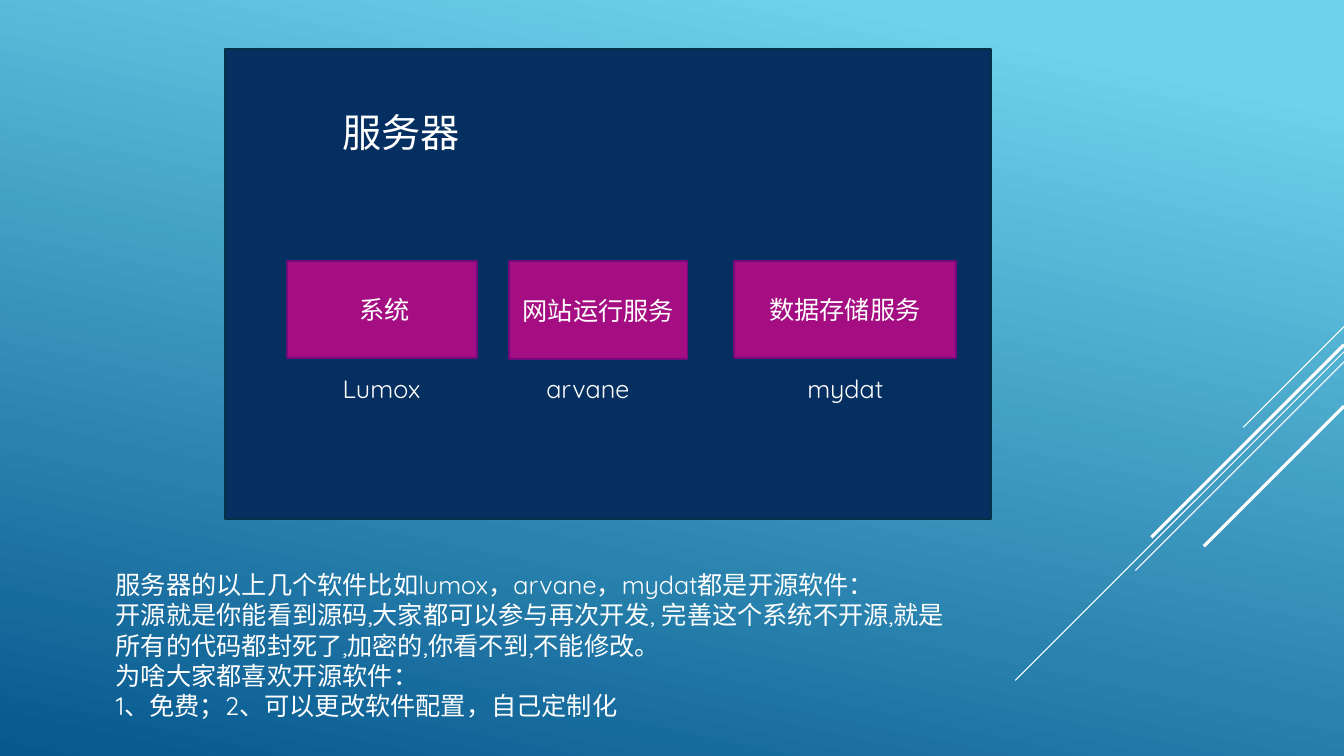
from pptx import Presentation
from pptx.dml.color import RGBColor
from pptx.enum.shapes import MSO_CONNECTOR, MSO_SHAPE
from pptx.enum.text import MSO_ANCHOR, MSO_AUTO_SIZE, PP_ALIGN
from pptx.oxml.ns import qn
from pptx.util import Inches, Pt
from lxml.etree import SubElement

SLIDE_WIDTH, SLIDE_HEIGHT = 13.33, 7.5
FONT = "Quicksand"
WHITE = "FFFFFF"

# Start height, run to the left (and down), line width
RAYS = [
    (3.24, 1, 0.75),
    (3.49, 3.26, 0.75),
    (3.59, 2.07, 0.75),
    (3.42, 1.91, 2.25),
    (4.03, 1.39, 2.25),
]

# Service: left, width, height; software: name, left
SERVICES = [
    (" 系统", 2.85, 1.88, 0.96, "Lumox", 3.3),
    ("网站运行服务", 5.05, 1.77, 0.97, "arvane", 5.32),
    ("数据存储服务", 7.28, 2.2, 0.96, "mydat", 7.91),
]

EXPLANATION = [
    "服务器的以上几个软件比如lumox,arvane,mydat都是开源软件:".replace(",", "，").replace(":", "："),
    "开源就是你能看到源码,大家都可以参与再次开发, 完善这个系统不开源,"
    "就是所有的代码都封死了,加密的,你看不到,不能修改。",
    "为啥大家都喜欢开源软件：",
    "1、免费；2、可以更改软件配置，自己定制化",
]


def color(hex_code):
    return RGBColor.from_string(hex_code)


def paint_background(slide):
    fill = slide.background.fill
    fill.gradient()
    fill.gradient_angle = 360 - 102
    for stop, position, shade in zip(fill.gradient_stops, (0.1, 1), ("6ED2EB", "06588E")):
        stop.position = position
        stop.color.rgb = color(shade)


def add_ray(slide, top, run, width):
    ray = slide.shapes.add_connector(
        MSO_CONNECTOR.STRAIGHT, Inches(SLIDE_WIDTH), Inches(top),
        Inches(SLIDE_WIDTH - run), Inches(top + run))
    ray.line.color.rgb = color(WHITE)
    ray.line.width = Pt(width)
    SubElement(ray._element.spPr, qn("a:effectLst"))


def write(frame, paragraphs, size=18, align=None):
    frame.word_wrap = True
    frame.text = "\n".join(paragraphs)
    for paragraph in frame.paragraphs:
        paragraph.alignment = align
        paragraph.font.name = FONT
        paragraph.font.size = Pt(size)
        paragraph.font.color.rgb = color(WHITE)


def add_box(slide, left, top, width, height, fill, outline):
    box = slide.shapes.add_shape(
        MSO_SHAPE.RECTANGLE, Inches(left), Inches(top), Inches(width), Inches(height))
    box.shadow.inherit = False
    box.fill.solid()
    box.fill.fore_color.rgb = color(fill)
    box.line.color.rgb = color(outline)
    box.line.width = Pt(1.25)
    return box


def add_label(slide, left, top, width, height, paragraphs, size=18):
    label = slide.shapes.add_textbox(
        Inches(left), Inches(top), Inches(width), Inches(height))
    write(label.text_frame, paragraphs, size)
    label.text_frame.auto_size = MSO_AUTO_SIZE.SHAPE_TO_FIT_TEXT


def add_service(slide, service, left, width, height, software, software_left):
    box = add_box(slide, left, 2.59, width, height, "A50E82", "710A7A")
    box.text_frame.vertical_anchor = MSO_ANCHOR.MIDDLE
    write(box.text_frame, [service], align=PP_ALIGN.CENTER)
    add_label(slide, software_left, 3.65, 1.44, 0.4, [software])


def main():
    deck = Presentation()
    deck.slide_width = Inches(SLIDE_WIDTH)
    deck.slide_height = Inches(SLIDE_HEIGHT)
    slide = deck.slides.add_slide(deck.slide_layouts[6])

    # Backdrop
    paint_background(slide)
    for ray in RAYS:
        add_ray(slide, *ray)

    # Server and its services
    add_box(slide, 2.23, 0.49, 7.6, 4.66, "052F61", "043148")
    add_label(slide, 3.3, 1.03, 2.21, 0.57, ["服务器"], size=28)
    for service in SERVICES:
        add_service(slide, *service)

    # Explanation of open source
    add_label(slide, 1.05, 5.6, 8.55, 1.62, EXPLANATION)

    deck.save("out.pptx")


main()
